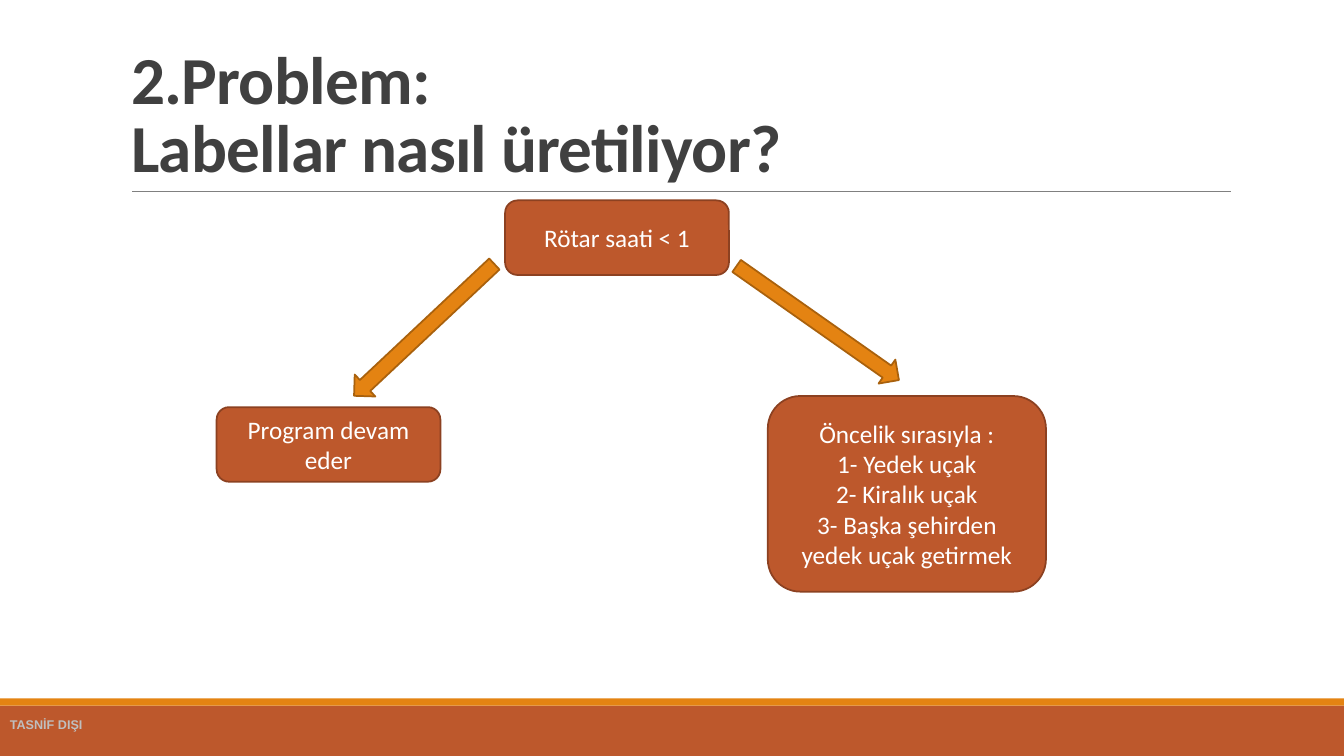
"""Build the slide on how the labels are produced."""
from lxml import etree
from pptx import Presentation
from pptx.dml.color import RGBColor
from pptx.enum.shapes import MSO_CONNECTOR, MSO_SHAPE
from pptx.enum.text import MSO_ANCHOR, MSO_AUTO_SIZE, PP_ALIGN
from pptx.oxml.ns import qn
from pptx.util import Cm, Pt

RECTANGLE = MSO_SHAPE.RECTANGLE
ROUNDED = MSO_SHAPE.ROUNDED_RECTANGLE
DOWN_ARROW = MSO_SHAPE.DOWN_ARROW
STRAIGHT = MSO_CONNECTOR.STRAIGHT
LEFT, CENTER = PP_ALIGN.LEFT, PP_ALIGN.CENTER
TOP, MIDDLE, BOTTOM = MSO_ANCHOR.TOP, MSO_ANCHOR.MIDDLE, MSO_ANCHOR.BOTTOM

COLORS = {
    "rust": "BD582C",
    "rust_edge": "8C4121",
    "orange": "E48312",
    "orange_edge": "A9610D",
    "title": "404040",
    "rule": "808080",
    "label": "BFBFBF",
    "white": "FFFFFF",
}
PAGE_WIDTH, PAGE_HEIGHT = 33.87, 19.05


def add_filled(kind, left, top, width, height, fill, edge=None):
    """Add a flat shape, outlined only when an edge colour is given."""
    shape = page.shapes.add_shape(kind, Cm(left), Cm(top), Cm(width), Cm(height))
    shape.shadow.inherit = False
    shape.fill.solid()
    shape.fill.fore_color.rgb = RGBColor.from_string(COLORS[fill])
    if edge:
        shape.line.color.rgb = RGBColor.from_string(COLORS[edge])
        shape.line.width = Pt(1.25)
    else:
        shape.line.fill.background()
    return shape


def write_text(shape, lines, size, color, align, anchor, font="Calibri", bold=False):
    """Write one formatted paragraph per line into a shape."""
    frame = shape.text_frame
    frame.word_wrap = True
    frame.auto_size = MSO_AUTO_SIZE.NONE
    frame.vertical_anchor = anchor
    frame.text = "\n".join(lines)
    for para in frame.paragraphs:
        para.alignment = align
        para.font.name = font
        para.font.size = Pt(size)
        para.font.bold = bold
        para.font.color.rgb = RGBColor.from_string(COLORS[color])


deck = Presentation()
deck.slide_width, deck.slide_height = Cm(PAGE_WIDTH), Cm(PAGE_HEIGHT)
page = deck.slides.add_slide(deck.slide_layouts[5])

add_filled(RECTANGLE, 0, 17.78, PAGE_WIDTH, 1.27, "rust")
add_filled(RECTANGLE, 0, 17.6, PAGE_WIDTH, 0.18, "orange")

rule = page.shapes.add_connector(STRAIGHT, Cm(3.33), Cm(4.83), Cm(31.01), Cm(4.83))
rule.line.color.rgb = RGBColor.from_string(COLORS["rule"])
rule.line.width = Pt(0.5)
etree.SubElement(rule._element.spPr, qn("a:effectLst"))

title = page.shapes.title
title.left, title.top, title.width, title.height = Cm(3.05), Cm(0.79), Cm(27.94), Cm(4.04)
write_text(title, ["2.Problem:\vLabellar nasıl üretiliyor?"], 48, "title", LEFT, BOTTOM, bold=True)
heading = title.text_frame.paragraphs[0]
heading.line_spacing = 0.85
for span in heading.runs:
    span._r.get_or_add_rPr().set("spc", "-50")

STEPS = [
    (12.73, 5.05, 5.64, 1.88, ["Rötar saati < 1"]),
    (5.46, 10.26, 5.64, 1.88, ["Program devam eder"]),
    (19.35, 9.98, 7.01, 4.93, [
        "Öncelik sırasıyla :",
        "1- Yedek uçak",
        "2- Kiralık uçak",
        "3- Başka şehirden yedek uçak getirmek",
    ]),
]
for left, top, width, height, lines in STEPS:
    box = add_filled(ROUNDED, left, top, width, height, "rust", "rust_edge")
    write_text(box, lines, 18, "white", CENTER, MIDDLE)

ARROWS = [(20.24, 5.64, 0.74, 5, 305.1), (10.31, 5.89, 0.76, 4.85, 46.8)]
for left, top, width, height, angle in ARROWS:
    arrow = add_filled(DOWN_ARROW, left, top, width, height, "orange", "orange_edge")
    arrow.rotation = angle

marking = page.shapes.add_textbox(Cm(0), Cm(17.93), Cm(PAGE_WIDTH), Cm(1.02))
write_text(marking, ["TASNİF DIŞI"], 9, "label", LEFT, TOP, font="Arial", bold=True)

deck.save("out.pptx")
